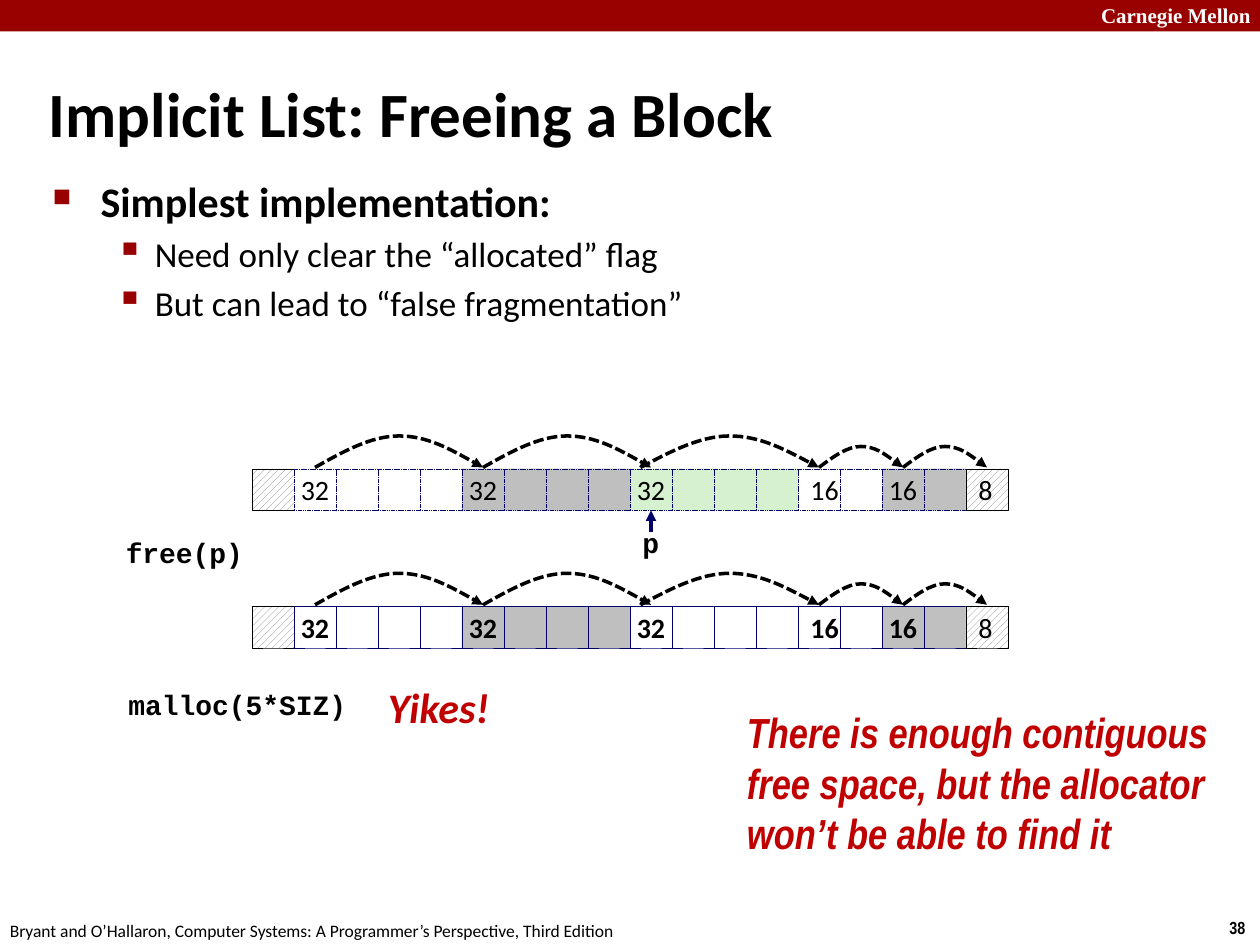
from dataclasses import dataclass
from typing import Optional

import pptx
import pptx.dml.color
import pptx.enum.dml
import pptx.enum.shapes
import pptx.enum.text
import pptx.oxml
import pptx.oxml.ns
import pptx.util

COLUMNS, ROWS = 30, 22.5
CELL = pptx.util.Inches(10) / COLUMNS
ALIGN = pptx.enum.text.PP_ALIGN
ANCHOR = pptx.enum.text.MSO_ANCHOR


@dataclass(frozen=True)
class Theme:
    sans: str = "Calibri"
    narrow: str = "Arial Narrow"
    code: str = "Courier New"
    serif: str = "Times New Roman"
    ink: str = "000000"
    paper: str = "FFFFFF"
    banner: str = "990000"
    alert: str = "C00000"
    grid_line: str = "000066"
    allocated: str = "BFBFBF"
    allocated_small: str = "C0C0C0"
    target: str = "D5F1CF"
    hatch: str = "808080"
    title_size: int = 36
    heading_size: int = 24
    body_size: int = 20
    label_size: int = 16
    brand_size: int = 12
    footer_size: int = 10


THEME = Theme()


@dataclass(frozen=True)
class Style:
    size: int
    font: str = THEME.sans
    color: str = THEME.ink
    bold: bool = False
    italic: bool = False


@dataclass(frozen=True)
class Block:
    """Consecutive heap words; a block without a fill is hatched padding."""
    words: int
    size: str = ""
    fill: Optional[str] = None
    align: ALIGN = ALIGN.CENTER
    arc_lead: float = 0


@dataclass(frozen=True)
class Label:
    left: float
    top: float
    width: float
    height: float
    lines: tuple[str, ...]
    style: Style
    spacing: float = 1
    wrap: bool = False


def units(cells: float) -> int:
    return round(cells * CELL)


def rgb(color: str) -> pptx.dml.color.RGBColor:
    return pptx.dml.color.RGBColor.from_string(color)


def add_run(paragraph, text: str, style: Style) -> None:
    run = paragraph.add_run()
    run.text = text
    run.font.name, run.font.size = style.font, pptx.util.Pt(style.size)
    run.font.bold, run.font.italic = style.bold, style.italic
    run.font.color.rgb = rgb(style.color)


def add_box(slide, left: float, top: float, width: float, height: float):
    return slide.shapes.add_textbox(*map(units, (left, top, width, height)))


def add_rect(slide, left: float, top: float, width: float, height: float):
    rect = slide.shapes.add_shape(pptx.enum.shapes.MSO_SHAPE.RECTANGLE,
                                  *map(units, (left, top, width, height)))
    rect.shadow.inherit = False
    return rect


def add_label(slide, label: Label) -> None:
    box = add_box(slide, label.left, label.top, label.width, label.height)
    frame = box.text_frame
    frame.word_wrap = label.wrap
    frame.auto_size = pptx.enum.text.MSO_AUTO_SIZE.SHAPE_TO_FIT_TEXT
    paragraph = frame.paragraphs[0]
    paragraph.line_spacing = label.spacing
    for index, line in enumerate(label.lines):
        if index:
            paragraph.add_line_break()
        add_run(paragraph, line, label.style)


def add_bullet(paragraph, mark: str, percent: int, margin: float, hang: float) -> None:
    properties = paragraph._p.get_or_add_pPr()
    properties.set("marL", str(pptx.util.Inches(margin)))
    properties.set("indent", str(-pptx.util.Inches(hang)))
    namespace = pptx.oxml.ns.nsdecls("a")
    for xml in (f'<a:buClr {namespace}><a:srgbClr val="{THEME.banner}"/></a:buClr>',
                f'<a:buSzPct {namespace} val="{percent * 1000}"/>',
                f'<a:buChar {namespace} char="{mark}"/>'):
        properties.append(pptx.oxml.parse_xml(xml))


def add_arrowhead(line) -> None:
    line._get_or_add_ln().append(pptx.oxml.parse_xml(
        f'<a:tailEnd {pptx.oxml.ns.nsdecls("a")} type="triangle"/>'))


def add_arc(slide, start: float, end: float, base: float, rise: float) -> None:
    """Draw a dashed hop made of two cubic curves."""
    span = end - start
    controls = [(units(start + span * step / 6), units(base - rise * lift))
                for step, lift in enumerate((0.5, 1, 1, 1, 0.5, 0), start=1)]
    builder = slide.shapes.build_freeform(units(start), units(base))
    builder.add_line_segments(controls, close=False)
    arc = builder.convert_to_shape()
    segments = list(arc._element.iter(pptx.oxml.ns.qn("a:lnTo")))
    for first in (0, 3):
        curve = pptx.oxml.parse_xml(f'<a:cubicBezTo {pptx.oxml.ns.nsdecls("a")}/>')
        segments[first].addprevious(curve)
        for segment in segments[first:first + 3]:
            curve.append(segment[0])
            segment.getparent().remove(segment)
    arc.shadow.inherit = False
    arc.fill.background()
    arc.line.color.rgb, arc.line.width = rgb(THEME.ink), pptx.util.Pt(2)
    arc.line.dash_style = pptx.enum.dml.MSO_LINE.SQUARE_DOT
    add_arrowhead(arc.line)


def add_word(slide, left: float, top: float, block: Block, size: str,
             dashed: bool, bold: bool) -> None:
    word = add_rect(slide, left, top, 1, 1)
    word.line.width = pptx.util.Pt(0.25)
    if block.fill:
        word.fill.solid()
        word.fill.fore_color.rgb = rgb(block.fill)
        word.line.color.rgb = rgb(THEME.grid_line)
        if dashed:
            word.line.dash_style = pptx.enum.dml.MSO_LINE.SQUARE_DOT
    else:
        word.fill.patterned()
        word.fill.pattern = pptx.enum.dml.MSO_PATTERN.WIDE_UPWARD_DIAGONAL
        word.fill.fore_color.rgb = rgb(THEME.hatch)
        word.fill.back_color.rgb = rgb(THEME.paper)
        word.line.color.rgb = rgb(THEME.ink)
    if size:
        frame = word.text_frame
        frame.word_wrap, frame.vertical_anchor = False, ANCHOR.MIDDLE
        frame.paragraphs[0].alignment = block.align
        add_run(frame.paragraphs[0], size,
                Style(THEME.label_size, bold=bold and block.fill is not None))


def add_heap(slide, top: float, target_fill: str, dashed: bool, bold: bool) -> None:
    blocks = (Block(1), Block(4, "32", THEME.paper), Block(4, "32", THEME.allocated),
              Block(4, "32", target_fill, arc_lead=0.25),
              Block(2, "16", THEME.paper, ALIGN.LEFT),
              Block(2, "16", THEME.allocated_small), Block(1, "8", align=ALIGN.LEFT))
    starts = [6 + sum(block.words for block in blocks[:i]) for i in range(len(blocks))]
    for start, block in zip(starts, blocks):
        for offset in range(block.words):
            add_word(slide, start + offset, top, block, "" if offset else block.size,
                     dashed, bold)
    for start, block in list(zip(starts, blocks))[1:-1]:
        add_arc(slide, start + 0.5 - block.arc_lead, start + block.words + 0.5,
                top - 0.03, 0.75 if block.words == 4 else 0.5)


def add_pointer(slide, column: float, tail: float, tip: float) -> None:
    pointer = slide.shapes.add_connector(pptx.enum.shapes.MSO_CONNECTOR.STRAIGHT,
                                         *map(units, (column, tail, column, tip)))
    pointer.line.color.rgb, pointer.line.width = rgb(THEME.grid_line), pptx.util.Pt(2)
    add_arrowhead(pointer.line)
    pointer._element.spPr.append(pptx.oxml.parse_xml(
        f'<a:effectLst {pptx.oxml.ns.nsdecls("a")}/>'))


def add_headings(slide) -> None:
    banner = add_rect(slide, 0, 0, COLUMNS, 0.75)
    banner.fill.solid()
    banner.fill.fore_color.rgb = rgb(THEME.banner)
    banner.line.fill.background()
    title = add_box(slide, 0.87, 1.74, 23.64, 1.89).text_frame
    title.word_wrap, title.vertical_anchor = True, ANCHOR.MIDDLE
    add_run(title.paragraphs[0], "Implicit List: Freeing a Block",
            Style(THEME.title_size, bold=True))
    body = add_box(slide, 0.96, 4.02, 27.27, 14.25).text_frame
    body.word_wrap = True
    add_bullet(body.paragraphs[0], "■", 60, 0.38, 0.38)
    add_run(body.paragraphs[0], "Simplest implementation:",
            Style(THEME.heading_size, bold=True))
    for point in ("Need only clear the “allocated” flag",
                  "But can lead to “false fragmentation”"):
        paragraph = body.add_paragraph()
        paragraph.level = 1
        add_bullet(paragraph, "▪", 110, 0.81, 0.31)
        paragraph.space_before = pptx.util.Pt(THEME.body_size * 0.2)
        add_run(paragraph, point, Style(THEME.body_size))


def main() -> None:
    deck = pptx.Presentation()
    deck.slide_width, deck.slide_height = units(COLUMNS), units(ROWS)
    slide = deck.slides.add_slide(deck.slide_layouts[6])
    add_headings(slide)
    add_heap(slide, 11.16, THEME.target, dashed=True, bold=False)
    add_heap(slide, 14.43, THEME.paper, dashed=False, bold=True)
    add_pointer(slide, 15.5, 12.66, 12.15)
    code = Style(THEME.label_size, THEME.code, bold=True)
    alert = Style(THEME.heading_size, color=THEME.alert, bold=True, italic=True)
    note = Style(THEME.heading_size, THEME.narrow, THEME.alert, True, True)
    for label in (
        Label(25.92, -0.09, 4.29, 0.9, ("Carnegie Mellon",),
              Style(THEME.brand_size, THEME.serif, THEME.paper, True), wrap=True),
        Label(28.98, 21.69, 1.02, 0.81, ("38",),
              Style(THEME.footer_size, THEME.narrow, bold=True)),
        Label(-0.06, 21.75, 15.24, 0.81,
              ("Bryant and O’Hallaron, Computer Systems: "
               "A Programmer’s Perspective, Third Edition",), Style(THEME.footer_size)),
        Label(2.7, 12.66, 3.42, 1.08, ("free(p)",), code, 0.94),
        Label(15, 12.42, 1, 1.08, ("p",), code, 0.94),
        Label(2.76, 16.29, 5.85, 1.08, ("malloc(5*SIZ)",), code, 0.94),
        Label(8.94, 16.05, 3.03, 1.56, ("Yikes!",), alert, 1.02),
        Label(17.49, 16.68, 12.33, 4.86,
              ("There is enough contiguous", "free space, but the allocator",
               "won’t be able to find it"), note),
    ):
        add_label(slide, label)
    deck.save("out.pptx")


if __name__ == "__main__":
    main()
